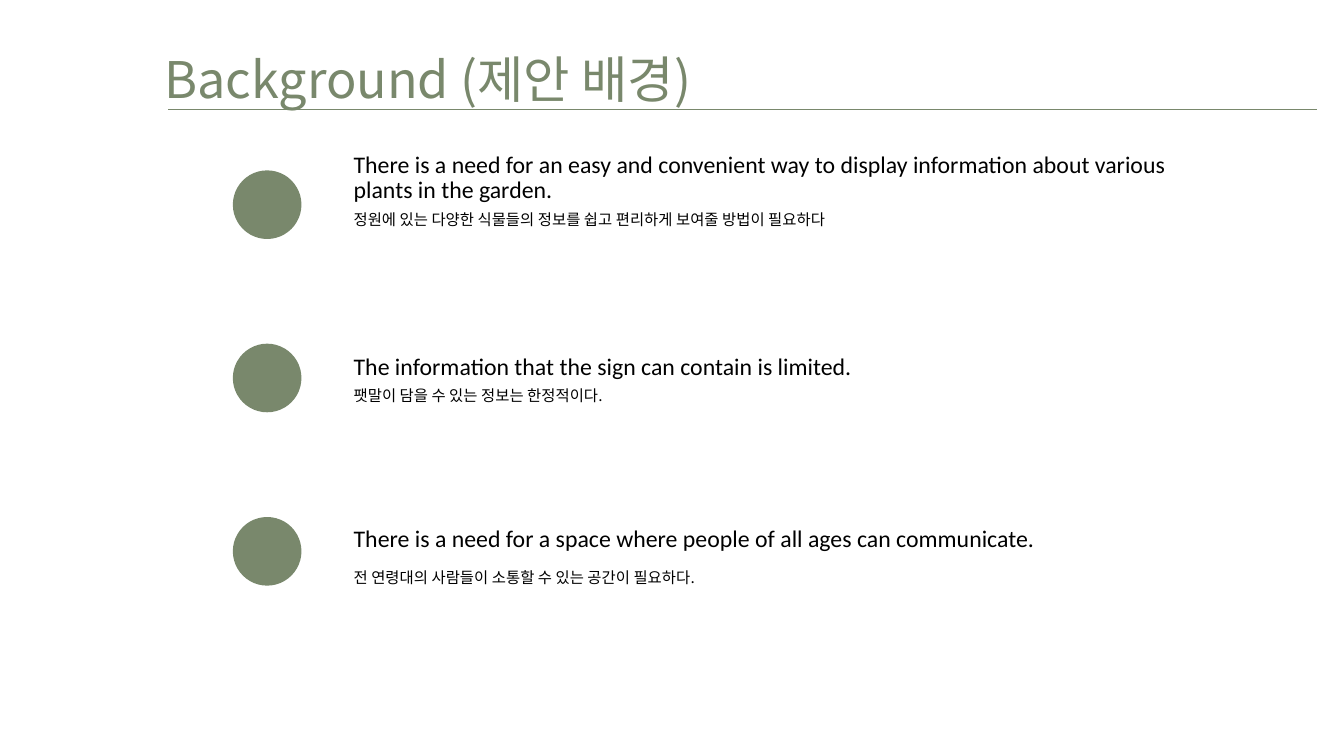
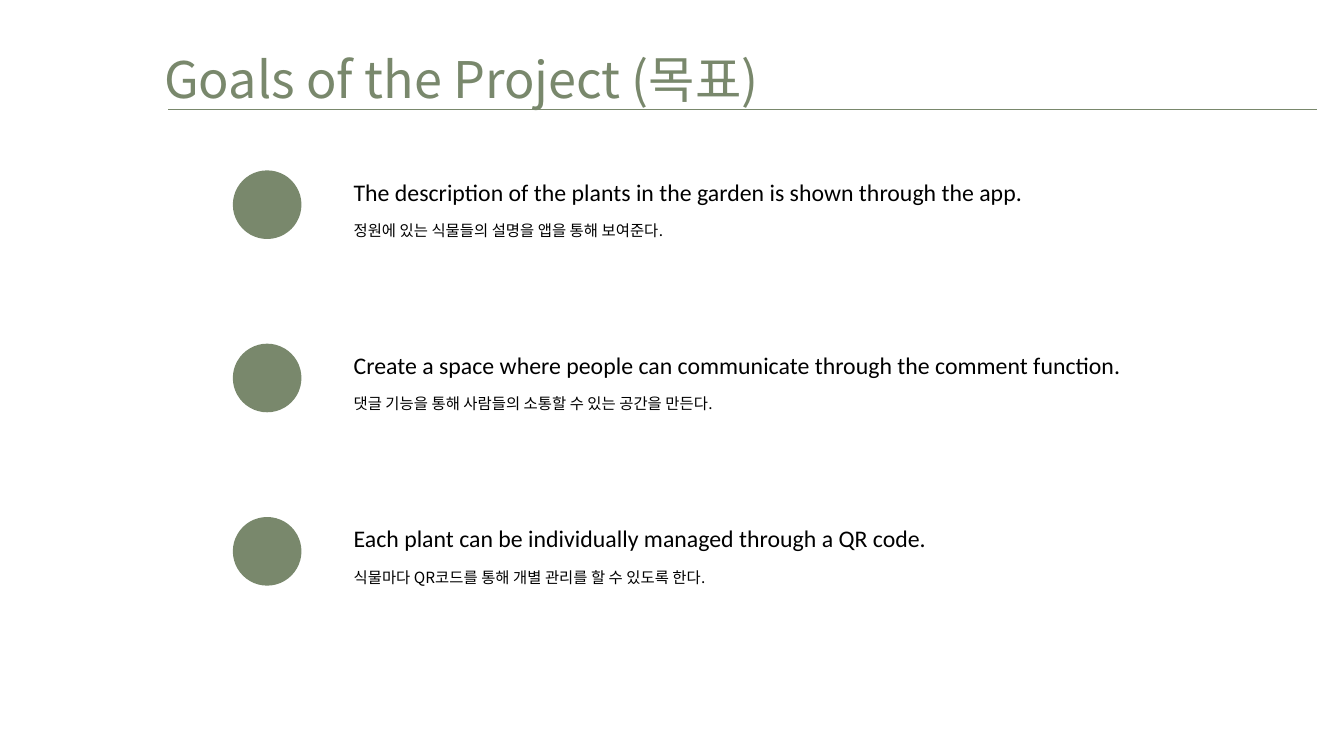
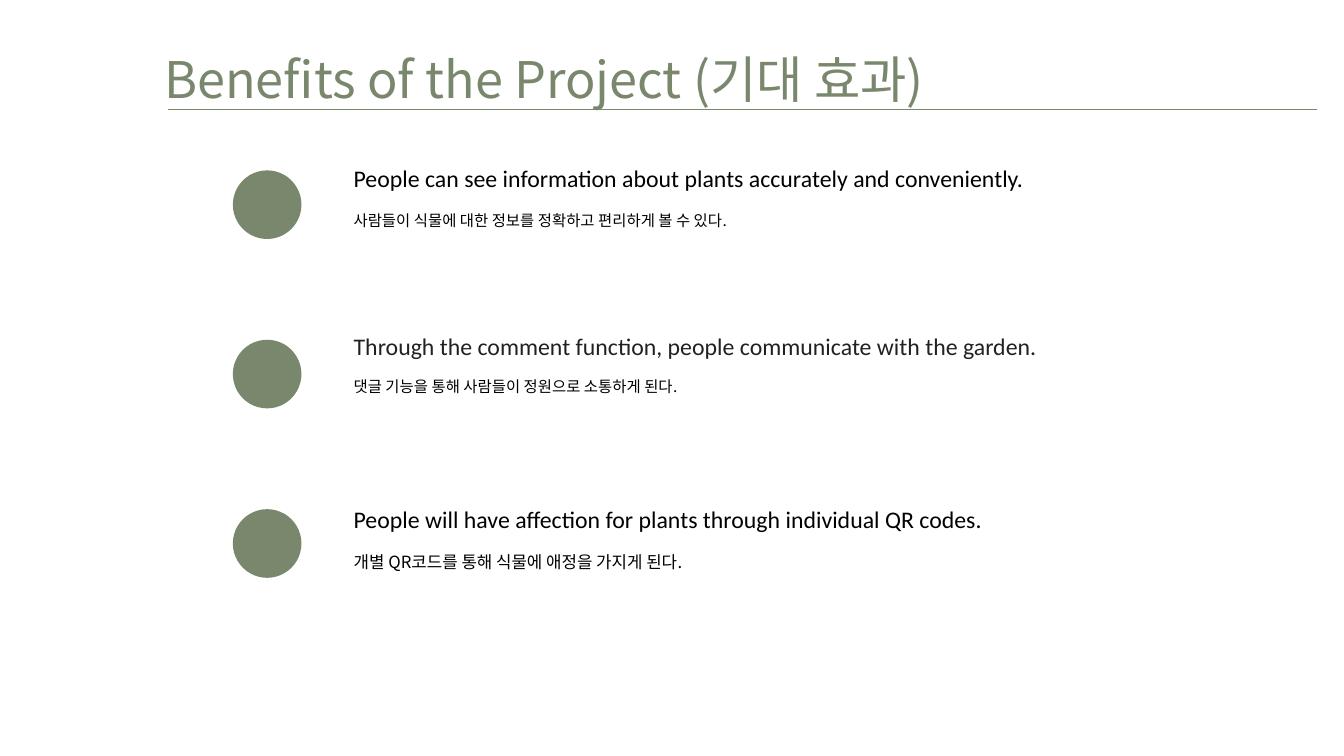
from lxml import etree
from pptx import Presentation
from pptx.dml.color import RGBColor
from pptx.enum.shapes import MSO_CONNECTOR, MSO_SHAPE
from pptx.enum.text import MSO_ANCHOR, MSO_AUTO_SIZE
from pptx.oxml.ns import qn
from pptx.util import Pt

GREEN = RGBColor(0x79, 0x88, 0x6C)
BLACK = RGBColor(0x00, 0x00, 0x00)
CHARCOAL = RGBColor(0x20, 0x21, 0x24)
LATIN = "Calibri"
KOREAN = "Noto Sans CJK SC"

TEXT_LEFT = 245.5
CIRCLE_LEFT, CIRCLE_TOP, CIRCLE_SIZE = 166.3, 121.7, 49
NARROW, WIDE = 600.5, 637.2

# Slide: title, title width, circle pitch, rows
# Row: width, heading (text, top, line spacing, colour), note (text, top, line spacing, size)
SLIDES = [
    ("Background (제안 배경)", 496, 123.8, [
        (NARROW,
         ("There is a need for an easy and convenient way to display information "
          "about various plants in the garden.", 108.7, 0.9, BLACK),
         ("정원에 있는 다양한 식물들의 정보를 쉽고 편리하게 보여줄 방법이 필요하다", 146.2, 1, 11)),
        (WIDE,
         ("The information that the sign can contain is limited.", 237.6, 1.5, BLACK),
         ("팻말이 담을 수 있는 정보는 한정적이다.", 265.7, 1.5, 11)),
        (WIDE,
         ("There is a need for a space where people of all ages can communicate.",
          367.2, 0.9, BLACK),
         ("전 연령대의 사람들이 소통할 수 있는 공간이 필요하다.", 395.3, 1.5, 11)),
    ]),
    ("Goals of the Project (목표)", 548.6, 123.8, [
        (NARROW,
         ("The description of the plants in the garden is shown through the app.",
          119.5, 0.9, BLACK),
         ("정원에 있는 식물들의 설명을 앱을 통해 보여준다.", 147.6, 1.5, 11)),
        (WIDE,
         ("Create a space where people can communicate through the comment function.",
          243.4, 0.9, BLACK),
         ("댓글 기능을 통해 사람들의 소통할 수 있는 공간을 만든다.", 271.4, 1.5, 11)),
        (WIDE,
         ("Each plant can be individually managed through a QR code.", 367.2, 0.9, BLACK),
         ("식물마다 QR코드를 통해 개별 관리를 할 수 있도록 한다.", 395.3, 1.5, 11)),
    ]),
    ("Benefits of the Project (기대 효과)", 599.8, 121, [
        (NARROW,
         ("People can see information about plants accurately and conveniently.",
          109.4, 0.9, BLACK),
         ("사람들이 식물에 대한 정보를 정확하고 편리하게 볼 수 있다.", 146.9, 1, 11)),
        (WIDE,
         ("Through the comment function, people communicate with the garden.",
          228.6, 1, CHARCOAL),
         ("댓글 기능을 통해 사람들이 정원으로 소통하게 된다.", 265.7, 1, 11)),
        (WIDE,
         ("People will have affection for plants through individual QR codes.",
          353.5, 0.9, BLACK),
         ("개별 QR코드를 통해 식물에 애정을 가지게 된다.", 390.2, 1, 12)),
    ]),
]


def add_text(s, text, left, top, width, height, size, font, color, spacing=1, grow=False):
    """Add a one-paragraph box: middle-anchored, or top-anchored and growing with its text."""
    tf = s.shapes.add_textbox(Pt(left), Pt(top), Pt(width), Pt(height)).text_frame
    tf.word_wrap = True
    tf.vertical_anchor = MSO_ANCHOR.TOP if grow else MSO_ANCHOR.MIDDLE
    tf.auto_size = MSO_AUTO_SIZE.SHAPE_TO_FIT_TEXT if grow else MSO_AUTO_SIZE.NONE
    p = tf.paragraphs[0]
    p.line_spacing = spacing
    r = p.add_run()
    r.text = text
    r.font.size = Pt(size)
    r.font.color.rgb = color
    r.font.name = font
    etree.SubElement(r.font._element, qn("a:ea"), typeface=font)


def add_title(s, title, width):
    add_text(s, title, 110.2, 21.6, width, 68.4, 36, KOREAN, GREEN)
    rule = s.shapes.add_connector(MSO_CONNECTOR.STRAIGHT, Pt(120.2), Pt(77.8), Pt(941), Pt(77.8))
    rule.line.color.rgb = GREEN
    rule.line.width = Pt(0.5)
    etree.SubElement(rule._element.spPr, qn("a:effectLst"))


prs = Presentation()
prs.slide_width, prs.slide_height = Pt(960), Pt(540)

for title, title_width, pitch, rows in SLIDES:
    s = prs.slides.add_slide(prs.slide_layouts[6])
    add_title(s, title, title_width)
    for i, (width, heading, note) in enumerate(rows):
        sp = s.shapes.add_shape(MSO_SHAPE.OVAL, Pt(CIRCLE_LEFT), Pt(CIRCLE_TOP + i * pitch),
                                Pt(CIRCLE_SIZE), Pt(CIRCLE_SIZE))
        sp.shadow.inherit = False
        sp.fill.solid()
        sp.fill.fore_color.rgb = GREEN
        sp.line.fill.background()

        text, top, spacing, color = heading
        add_text(s, text, TEXT_LEFT, top, width, 37.4, 17, LATIN, color, spacing)
        text, top, spacing, size = note
        add_text(s, text, TEXT_LEFT, top, width, 21 if spacing == 1 else 25.2,
                 size, KOREAN, BLACK, spacing, grow=True)

prs.save("out.pptx")
